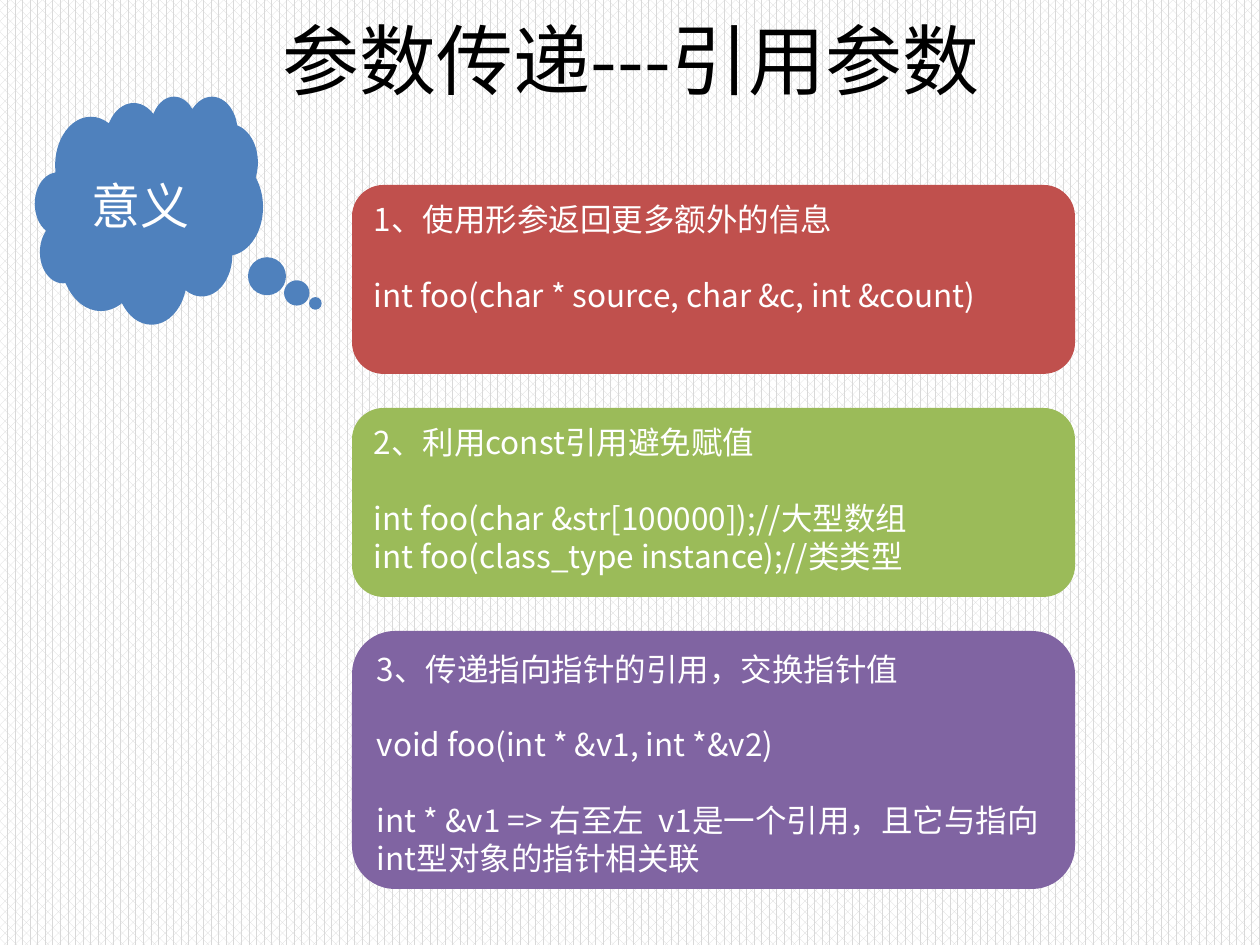
import pptx
import pptx.util
import pptx.dml.color
import pptx.enum.dml
import pptx.enum.shapes
import pptx.enum.text
import pptx.oxml

SCALE = 914400 / 126
FONT = "Noto Sans CJK SC"
TITLE_FONT = "Noto Sans CJK JP"
SHAPES = pptx.enum.shapes.MSO_SHAPE
ALIGN = pptx.enum.text.PP_ALIGN
ANCHOR = pptx.enum.text.MSO_ANCHOR
LINE_HEIGHT = pptx.util.Pt(21.6)

CARD_LEFT, CARD_TOP, CARD_WIDTH, CARD_GAP = 352, 185, 723, 34
# Each card: fill, height, groups of lines separated by one line of space
CARDS = [
    ("C0504D", 189, [
        ["1、使用形参返回更多额外的信息"],
        ["int foo(char * source, char &c, int &count)"],
    ]),
    ("9BBB59", 189, [
        ["2、利用const引用避免赋值"],
        ["int foo(char &str[100000]);//大型数组",
         "int foo(class_type instance);//类类型"],
    ]),
    ("8064A2", 258, [
        ["3、传递指向指针的引用，交换指针值"],
        ["void foo(int * &v1, int *&v2)"],
        ["int * &v1 => 右至左  v1是一个引用，且它与指向int型对象的指针相关联"],
    ]),
]


def px(n):
    """Turn whole pixels into EMU."""
    return pptx.util.Emu(round(n * SCALE))


def rgb(value):
    """Turn a hex string into a colour."""
    return pptx.dml.color.RGBColor.from_string(value)


def style_paragraph(p, size, color, font, align):
    """Align a paragraph and format its runs."""
    p.alignment = align
    for r in p.runs:
        r.font.size = pptx.util.Pt(size)
        r.font.name = font
        r.font.color.rgb = rgb(color)
        ea = pptx.oxml.parse_xml(
            '<a:ea xmlns:a="http://schemas.openxmlformats.org/drawingml/2006/main"'
            f' typeface="{font}"/>')
        r.font._element.find(pptx.oxml.ns.qn("a:latin")).addnext(ea)


def set_background(s):
    """Fill the slide with the grey dotted pattern."""
    fill = s.background.fill
    fill.patterned()
    fill.pattern = pptx.enum.dml.MSO_PATTERN.PERCENT_60
    fill.fore_color.rgb = rgb("D9D9D9")
    fill.back_color.rgb = rgb("FFFFFF")


def set_title(s, text):
    """Place and format the title placeholder."""
    sp = s.shapes.title
    sp.left, sp.top, sp.width, sp.height = px(64), px(1), px(1134), px(115)
    tf = sp.text_frame
    tf.text = text
    tf.vertical_anchor = ANCHOR.MIDDLE
    style_paragraph(tf.paragraphs[0], 44, "000000", TITLE_FONT, ALIGN.CENTER)


def add_filled_shape(s, kind, left, top, width, height, fill):
    """Add a flat preset shape without an outline."""
    sp = s.shapes.add_shape(kind, px(left), px(top), px(width), px(height))
    sp.shadow.inherit = False
    sp.fill.solid()
    sp.fill.fore_color.rgb = rgb(fill)
    sp.line.fill.background()
    sp.text_frame.word_wrap = True
    return sp


def add_cloud(s, text):
    """Add the thought cloud that names the topic."""
    sp = add_filled_shape(s, SHAPES.CLOUD_CALLOUT, 35, 96, 228, 228, "4F81BD")
    sp.adjustments[0], sp.adjustments[1] = 0.73, 0.41
    tf = sp.text_frame
    tf.text = text
    tf.vertical_anchor = ANCHOR.MIDDLE
    style_paragraph(tf.paragraphs[0], 28, "FFFFFF", FONT, ALIGN.CENTER)


def add_card(s, top, height, fill, groups):
    """Add a rounded card whose groups of lines are set apart by spacing."""
    sp = add_filled_shape(s, SHAPES.ROUNDED_RECTANGLE,
                          CARD_LEFT, top, CARD_WIDTH, height, fill)
    tf = sp.text_frame
    tf.vertical_anchor = ANCHOR.TOP
    tf.text = "\n".join(line for group in groups for line in group)
    paragraphs = iter(tf.paragraphs)
    for g, group in enumerate(groups):
        for i, _ in enumerate(group):
            p = next(paragraphs)
            p.line_spacing = LINE_HEIGHT
            if g and i == 0:
                p.space_before = LINE_HEIGHT
            style_paragraph(p, 18, "FFFFFF", FONT, ALIGN.LEFT)


def main():
    """Build the slide and save it."""
    prs = pptx.Presentation()
    prs.slide_width, prs.slide_height = px(1260), px(945)
    s = prs.slides.add_slide(prs.slide_layouts[5])
    set_background(s)
    set_title(s, "参数传递---引用参数")
    add_cloud(s, "意义")
    top = CARD_TOP
    for fill, height, groups in CARDS:
        add_card(s, top, height, fill, groups)
        top += height + CARD_GAP
    prs.save("out.pptx")


main()
